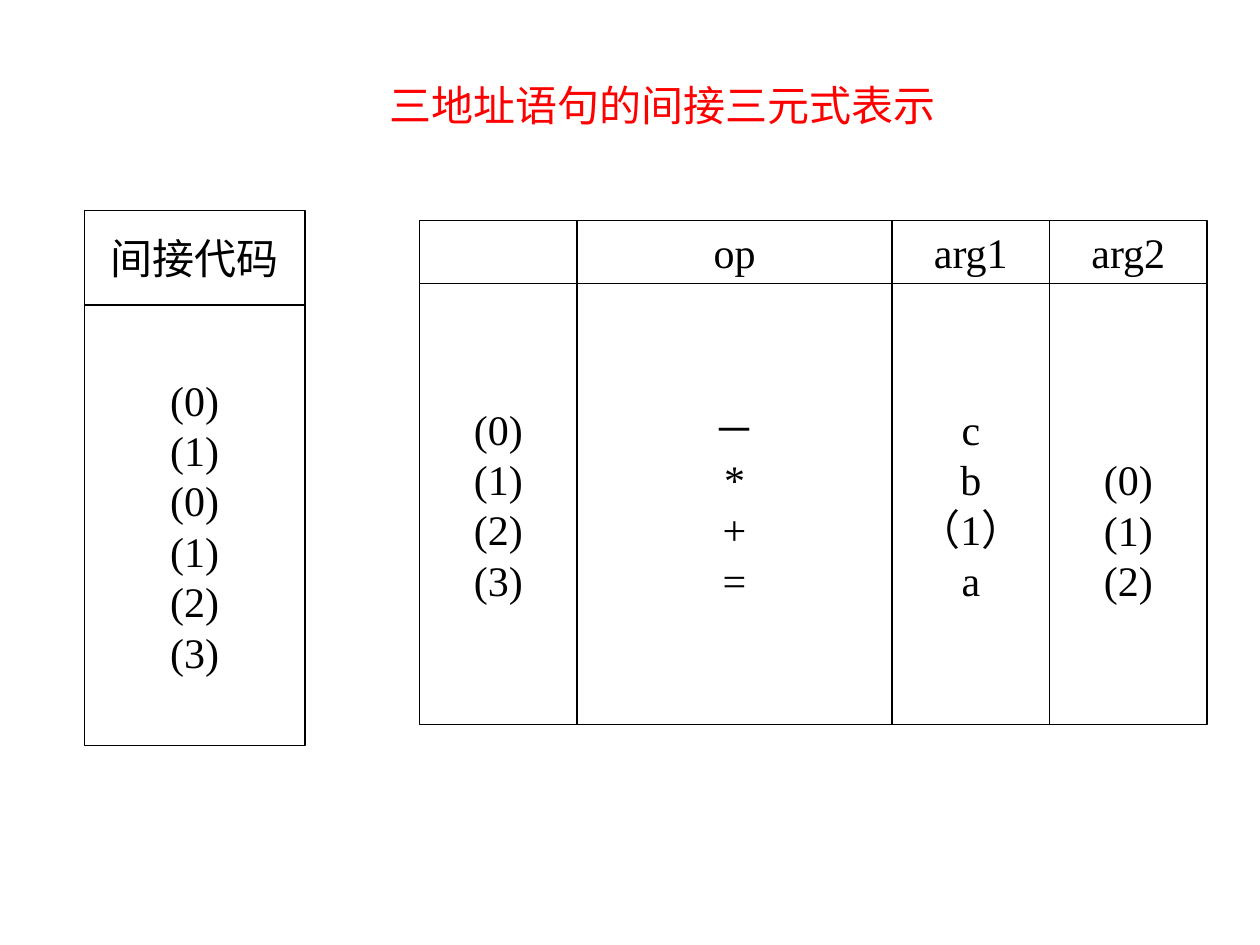
"""Build the slide on the indirect triple form of three-address statements."""
from dataclasses import dataclass

from pptx import Presentation
from pptx.dml.color import RGBColor
from pptx.enum.shapes import MSO_SHAPE
from pptx.enum.text import MSO_ANCHOR, MSO_AUTO_SIZE, PP_ALIGN
from pptx.util import Inches, Pt

COLORS = {"text": "000000", "title": "FF0000", "fill": "FFFFFF", "line": "000000"}
FONT = {"name": "Times New Roman", "size": Pt(24), "bold": False}
LINE_HEIGHT = 0.4
BODY_HEIGHT = 3.5
CELL_FRAME = {"word_wrap": False, "vertical_anchor": MSO_ANCHOR.MIDDLE}
TITLE_BOX = {"left": Inches(2.76), "top": Inches(0.58),
             "width": Inches(4.79), "height": Inches(0.5)}
TITLE_FRAME = {"word_wrap": True, "auto_size": MSO_AUTO_SIZE.NONE,
               "vertical_anchor": MSO_ANCHOR.TOP,
               "margin_left": Inches(0.33), "margin_right": Inches(0)}


@dataclass
class Column:
    """A header cell above a cell that lists one entry per line."""
    head: str
    entries: list[str]
    width: float
    skipped: int = 0


@dataclass
class Grid:
    """Columns that stand side by side."""
    left: float
    top: float
    head_height: float
    columns: list[Column]


GRIDS = [
    Grid(0.67, 1.67, 0.75, [
        Column("间接代码", ["(0)", "(1)", "(0)", "(1)", "(2)", "(3)"], 1.75),
    ]),
    Grid(3.33, 1.75, 0.5, [
        Column("", ["(0)", "(1)", "(2)", "(3)"], 1.25),
        Column("op", ["－", "*", "+", "="], 2.5),
        Column("arg1", ["c", "b", "（1）", "a"], 1.25),
        Column("arg2", ["(0)", "(1)", "(2)"], 1.25, skipped=1),
    ]),
]


def apply(target: object, values: dict) -> None:
    """Set each attribute of the target from the values."""
    for name, value in values.items():
        setattr(target, name, value)


def write(tf, lines: list[str], color: str, align: PP_ALIGN) -> None:
    """Write one formatted paragraph for each line."""
    tf.text = "\n".join(lines)
    for p in tf.paragraphs:
        p.alignment = align
        apply(p.font, FONT)
        p.font.color.rgb = RGBColor.from_string(COLORS[color])
        for r in p.runs:
            apply(r.font, FONT)
            r.font.color.rgb = RGBColor.from_string(COLORS[color])


def draw_cell(s, left: float, top: float, width: float, height: float,
              lines: list[str], skipped: int = 0) -> None:
    """Draw a bordered cell, with its text lowered by the skipped lines."""
    sp = s.shapes.add_shape(MSO_SHAPE.RECTANGLE, Inches(left), Inches(top),
                            Inches(width), Inches(height))
    sp.shadow.inherit = False
    sp.fill.solid()
    sp.fill.fore_color.rgb = RGBColor.from_string(COLORS["fill"])
    sp.line.color.rgb = RGBColor.from_string(COLORS["line"])
    sp.line.width = Pt(0.75)
    apply(sp.text_frame, CELL_FRAME)
    sp.text_frame.margin_top = Inches(0.05 + skipped * LINE_HEIGHT)
    write(sp.text_frame, lines, "text", PP_ALIGN.CENTER)


def draw_grid(s, grid: Grid) -> None:
    """Draw the columns of a grid from left to right."""
    left = grid.left
    for col in grid.columns:
        draw_cell(s, left, grid.top + grid.head_height, col.width, BODY_HEIGHT,
                  col.entries, col.skipped)
        draw_cell(s, left, grid.top, col.width, grid.head_height, [col.head])
        left += col.width


def main() -> None:
    """Build and save the presentation."""
    prs = Presentation()
    prs.slide_width, prs.slide_height = Inches(10), Inches(7.5)
    s = prs.slides.add_slide(prs.slide_layouts[5])
    title = s.shapes.title
    apply(title, TITLE_BOX)
    apply(title.text_frame, TITLE_FRAME)
    write(title.text_frame, ["三地址语句的间接三元式表示"], "title", PP_ALIGN.LEFT)
    for grid in GRIDS:
        draw_grid(s, grid)
    prs.save("out.pptx")


if __name__ == "__main__":
    main()
